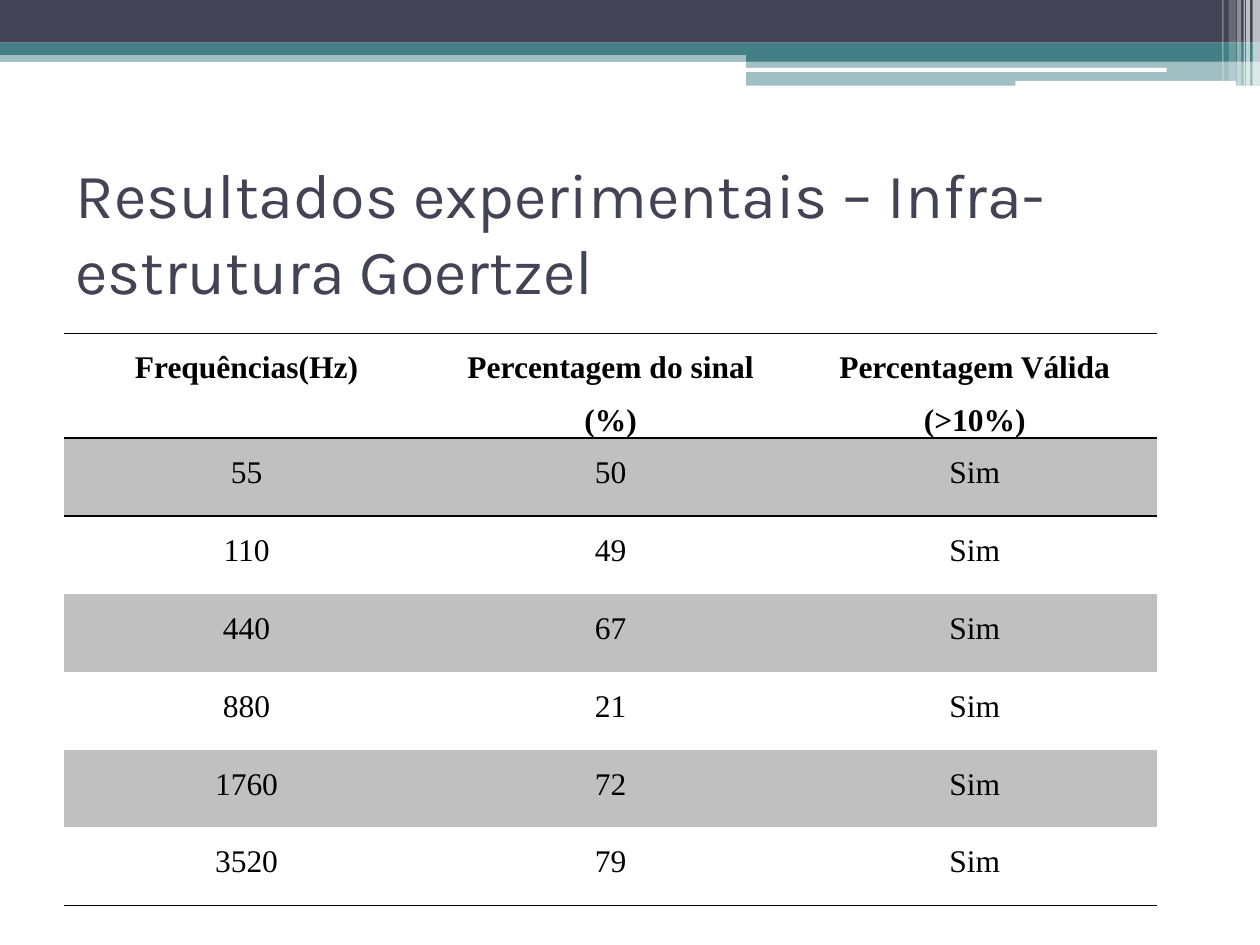
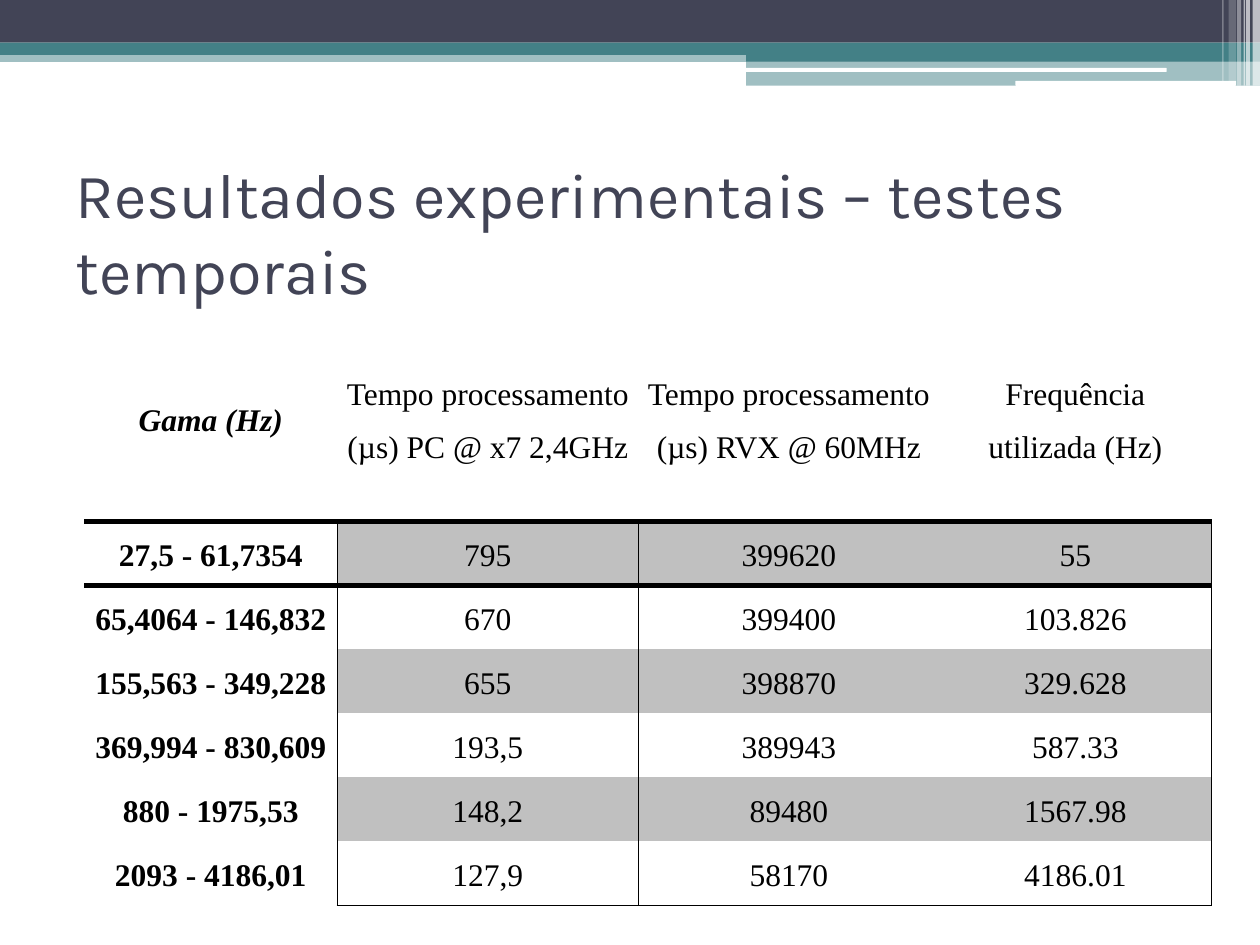
from collections import defaultdict
from dataclasses import dataclass

from lxml.etree import SubElement
from pptx import Presentation
from pptx.dml.color import RGBColor
from pptx.enum.shapes import MSO_SHAPE
from pptx.enum.text import MSO_ANCHOR, MSO_AUTO_SIZE, PP_ALIGN
from pptx.oxml.ns import qn
from pptx.util import Cm, Pt

# Shared look
NAVY = RGBColor(0x42, 0x44, 0x56)
TEAL = RGBColor(0x43, 0x80, 0x86)
WHITE = RGBColor(0xFF, 0xFF, 0xFF)
BLACK = RGBColor(0x00, 0x00, 0x00)
SILVER = RGBColor(0xC0, 0xC0, 0xC0)
TITLE_FONT = "Karla"
TABLE_FONT = "Times New Roman"
PLAIN_TABLE_STYLE = "{2D5ABB26-0587-4C30-8999-92F81FD0307C}"


@dataclass(frozen=True)
class Band:
    left: float
    top: float
    width: float
    height: float
    color: RGBColor
    opacity: int = 100
    rounded: bool = False


@dataclass(frozen=True)
class Rule:
    """A line on one edge ("B", "R" or "T") of a block of cells."""
    edge: str
    rows: range
    columns: range
    width: float = 1


@dataclass(frozen=True)
class TableDesign:
    left: float
    top: float
    column_widths: list[float]
    header_height: float
    row_height: float
    rows: list[list[str]]
    rules: list[Rule]
    header_anchor: MSO_ANCHOR = MSO_ANCHOR.TOP
    bold_header: bool = False
    row_labels: bool = False  # bold, unshaded first column


BANDS = [
    Band(0, 1.02, 25.4, 0.23, TEAL, 50),
    Band(0, 0, 25.4, 0.86, NAVY),
    Band(0, 0.86, 25.4, 0.25, TEAL),
    Band(15.04, 0.99, 10.36, 0.25, TEAL),
    Band(15.04, 1.23, 10.36, 0.5, TEAL, 50),
    Band(15.01, 1.37, 8.51, 0.08, WHITE, rounded=True),
    Band(20.47, 1.63, 4.45, 0.1, WHITE, rounded=True),
    # Translucent slits at the right end
    Band(25.25, 0, 0.15, 1.73, WHITE, 65),
    Band(25.12, 0, 0.08, 1.73, WHITE, 65),
    Band(25.07, 0, 0.03, 1.73, WHITE, 60),
    Band(24.94, 0, 0.08, 1.73, WHITE, 40),
    Band(24.77, 0, 0.15, 1.63, WHITE, 20),
    Band(24.64, 0, 0.03, 1.63, WHITE, 30),
]

GOERTZEL = TableDesign(
    left=1.3, top=6.72, column_widths=[7.34] * 3,
    header_height=1.57, row_height=1.57,
    rows=[
        ["Frequências(Hz)", "Percentagem do sinal (%)", "Percentagem Válida (>10%)"],
        ["55", "50", "Sim"],
        ["110", "49", "Sim"],
        ["440", "67", "Sim"],
        ["880", "21", "Sim"],
        ["1760", "72", "Sim"],
        ["3520", "79", "Sim"],
    ],
    rules=[
        Rule("T", range(1), range(3)),
        Rule("B", range(1), range(3)),
        Rule("B", range(6, 7), range(3)),
    ],
    bold_header=True,
)

TIMING = TableDesign(
    left=1.7, top=6.12, column_widths=[5.1, 6.07, 6.07, 5.48],
    header_height=4.39, row_height=1.29,
    rows=[
        ["Gama (Hz)", "Tempo processamento (µs) PC @ x7 2,4GHz",
         "Tempo processamento (µs) RVX @ 60MHz", "Frequência utilizada (Hz)"],
        ["27,5 - 61,7354", "795", "399620", "55"],
        ["65,4064 - 146,832", "670", "399400", "103.826"],
        ["155,563 - 349,228", "655", "398870", "329.628"],
        ["369,994 - 830,609", "193,5", "389943", "587.33"],
        ["880 - 1975,53", "148,2", "89480", "1567.98"],
        ["2093 - 4186,01", "127,9", "58170", "4186.01"],
    ],
    rules=[
        Rule("B", range(1), range(4), 3),
        Rule("R", range(1, 7), range(1)),
        Rule("R", range(1, 7), range(3, 4)),
        Rule("B", range(6, 7), range(1, 4)),
    ],
    header_anchor=MSO_ANCHOR.MIDDLE,
    row_labels=True,
)


def add_bands(page, layout) -> None:
    """Draw the bands on a page, then move them to the layout all pages share."""
    for band in BANDS:
        kind = MSO_SHAPE.ROUNDED_RECTANGLE if band.rounded else MSO_SHAPE.RECTANGLE
        shape = page.shapes.add_shape(
            kind, Cm(band.left), Cm(band.top), Cm(band.width), Cm(band.height))
        shape.shadow.inherit = False
        shape.line.fill.background()
        shape.fill.solid()
        shape.fill.fore_color.rgb = band.color
        if band.opacity < 100:
            color = shape.element.spPr.find(qn("a:solidFill")).find(qn("a:srgbClr"))
            SubElement(color, qn("a:alpha"), val=str(band.opacity * 1000))
        layout.shapes.element.append(shape.element)


def set_title(page, text: str, width: float) -> None:
    title = page.shapes.title
    title.left, title.top = Cm(1.27), Cm(3.18)
    title.width, title.height = Cm(width), Cm(2.97)
    frame = title.text_frame
    frame.text = text
    frame.word_wrap = True
    frame.auto_size = MSO_AUTO_SIZE.NONE
    frame.vertical_anchor = MSO_ANCHOR.MIDDLE
    para = frame.paragraphs[0]
    para.alignment = PP_ALIGN.LEFT
    font = para.runs[0].font
    font.name, font.size = TITLE_FONT, Pt(36)
    font.color.rgb = NAVY


def collect_borders(rules: list[Rule]) -> dict:
    """Map each cell to its edges; a line is set on both cells that share it."""
    borders = defaultdict(dict)
    for rule in rules:
        for row in rule.rows:
            for column in rule.columns:
                borders[row, column][rule.edge] = rule.width
                if rule.edge == "B":
                    borders[row + 1, column]["T"] = rule.width
                elif rule.edge == "R":
                    borders[row, column + 1]["L"] = rule.width
    return borders


def draw_borders(properties, edges: dict) -> None:
    for edge in "LRTB":
        if edge in edges:
            line = SubElement(properties, qn(f"a:ln{edge}"), w=str(Pt(edges[edge])))
            fill = SubElement(line, qn("a:solidFill"))
            SubElement(fill, qn("a:srgbClr"), val=str(BLACK))


def format_cell(cell, text: str, bold: bool, italic: bool) -> None:
    cell.margin_left = cell.margin_right = Cm(0.18)
    cell.margin_top = cell.margin_bottom = 0
    cell.text_frame.text = text
    para = cell.text_frame.paragraphs[0]
    para.alignment = PP_ALIGN.CENTER
    para.line_spacing = 1.5
    font = para.runs[0].font
    font.name, font.size = TABLE_FONT, Pt(18)
    font.bold, font.italic = bold, italic
    font.color.rgb = BLACK


def add_result_table(page, design: TableDesign) -> None:
    row_count, column_count = len(design.rows), len(design.column_widths)
    height = design.header_height + design.row_height * (row_count - 1)
    frame = page.shapes.add_table(
        row_count, column_count, Cm(design.left), Cm(design.top),
        Cm(sum(design.column_widths)), Cm(height))
    next(frame.element.iter(qn("a:tableStyleId"))).text = PLAIN_TABLE_STYLE
    table = frame.table
    table.first_row = table.horz_banding = False
    for column, width in zip(table.columns, design.column_widths):
        column.width = Cm(width)
    for index, row in enumerate(table.rows):
        row.height = Cm(design.row_height if index else design.header_height)

    borders = collect_borders(design.rules)
    cell_elements = frame.element.iter(qn("a:tc"))
    for index, (cell, element) in enumerate(zip(table.iter_cells(), cell_elements)):
        row, column = divmod(index, column_count)
        is_header = row == 0
        is_label = design.row_labels and column == 0
        format_cell(cell, design.rows[row][column],
                    bold=is_label or (is_header and design.bold_header),
                    italic=is_label and is_header)
        cell.vertical_anchor = design.header_anchor if is_header else MSO_ANCHOR.TOP
        draw_borders(element.find(qn("a:tcPr")), borders[row, column])
        # Odd body rows are shaded
        if row % 2 and not is_label:
            cell.fill.solid()
            cell.fill.fore_color.rgb = SILVER
        else:
            cell.fill.background()


def main() -> None:
    deck = Presentation()
    deck.slide_width, deck.slide_height = Cm(25.4), Cm(19.05)
    layout = deck.slide_layouts.get_by_name("Title Only")

    # Goertzel results
    page = deck.slides.add_slide(layout)
    add_bands(page, layout)
    set_title(page, "Resultados experimentais – Infra-estrutura Goertzel", 22.86)
    add_result_table(page, GOERTZEL)

    # Timing tests
    page = deck.slides.add_slide(layout)
    set_title(page, "Resultados experimentais – testes temporais", 23.62)
    add_result_table(page, TIMING)

    deck.save("out.pptx")


main()
